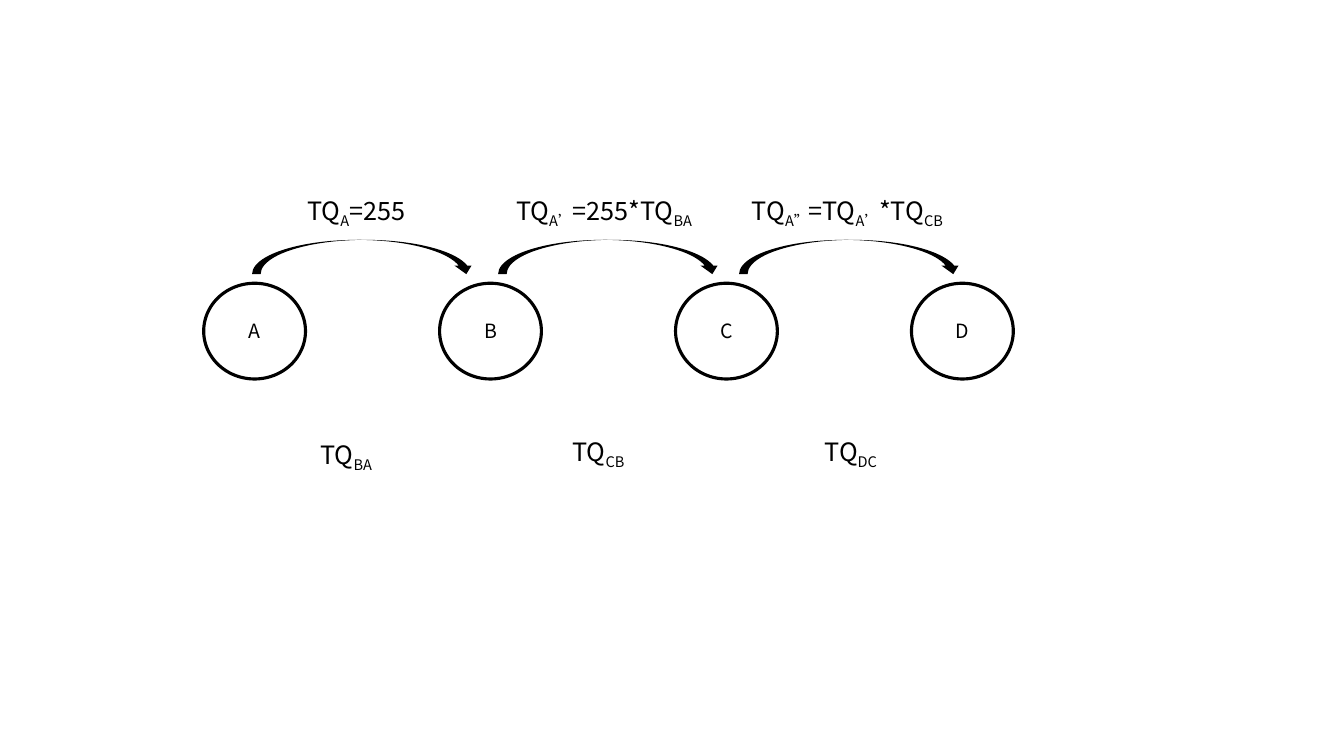
from pptx import Presentation
from pptx.dml.color import RGBColor
from pptx.enum.shapes import MSO_SHAPE
from pptx.enum.text import MSO_ANCHOR, MSO_AUTO_SIZE, PP_ALIGN
from pptx.oxml.ns import qn
from pptx.util import Inches, Pt

CIRCLE = MSO_SHAPE.OVAL
ARC = MSO_SHAPE.CURVED_DOWN_ARROW
CENTER, LEFT = PP_ALIGN.CENTER, PP_ALIGN.LEFT
MIDDLE, TOP = MSO_ANCHOR.MIDDLE, MSO_ANCHOR.TOP
GROW, FIXED = MSO_AUTO_SIZE.SHAPE_TO_FIT_TEXT, MSO_AUTO_SIZE.NONE

FONT = "Noto Sans CJK SC"
BLACK = "000000"
PITCH = 2.34
NODES = "ABCD"
HOPS = [
    (0.48, 0.93, 1.68, "TQ|A|=255"),
    (0.58, 0.66, 2.34, "TQ|A’|=255*TQ|BA"),
    (0.63, 0.66, 2.34, "TQ|A”|=TQ|A’|*TQ|CB"),
]
LINKS = [
    (0, 0.03, 0.78, "TQ|BA"),
    (2.5, 0, 0.99, "TQ|CB"),
    (5, 0, 1.11, "TQ|DC"),
]


def color(value):
    return RGBColor.from_string(value)


def write(frame, text, size=18, align=LEFT, anchor=TOP, autosize=FIXED):
    frame.word_wrap = True
    frame.auto_size = autosize
    frame.vertical_anchor = anchor
    paragraph = frame.paragraphs[0]
    paragraph.alignment = align
    for index, part in enumerate(text.split("|")):
        run = paragraph.add_run()
        run.text = part
        run.font.size = Pt(size)
        run.font.name = FONT
        run.font.color.rgb = color(BLACK)
        properties = run.font._element
        east_asian = properties.makeelement(qn("a:ea"), {"typeface": FONT})
        properties.find(qn("a:latin")).addnext(east_asian)
        if index % 2:
            properties.set("baseline", "-25000")


def add_label(slide, box, text):
    label = slide.shapes.add_textbox(*map(Inches, box))
    write(label.text_frame, text, autosize=GROW)


def draw_nodes(slide, left, top, width, height):
    for column, letter in enumerate(NODES):
        box = (left + column * PITCH, top, width, height)
        node = slide.shapes.add_shape(CIRCLE, *map(Inches, box))
        node.shadow.inherit = False
        node.fill.background()
        node.line.color.rgb = color(BLACK)
        node.line.width = Pt(2.25)
        write(node.text_frame, letter, size=14, align=CENTER, anchor=MIDDLE)


def draw_hops(slide, left, top, width, height):
    for column, (arc_shift, label_shift, label_width, formula) in enumerate(HOPS):
        start = left + column * PITCH
        box = (start + arc_shift, top + 0.49, width, height)
        arc = slide.shapes.add_shape(ARC, *map(Inches, box))
        arc.shadow.inherit = False
        arc.fill.solid()
        arc.fill.fore_color.rgb = color(BLACK)
        arc.line.fill.background()
        add_label(slide, (start + label_shift, top, label_width, 0.4), formula)


def draw_links(slide, left, top, height):
    for across, down, width, formula in LINKS:
        add_label(slide, (left + across, top + down, width, height), formula)


def main():
    deck = Presentation()
    deck.slide_width, deck.slide_height = Inches(13.33), Inches(7.5)
    slide = deck.slides.add_slide(deck.slide_layouts[6])
    draw_nodes(slide, 2.02, 2.81, 1.01, 0.95)
    draw_hops(slide, 2.02, 1.89, 2.21, 0.34)
    draw_links(slide, 3.08, 4.28, 0.4)
    deck.save("out.pptx")


if __name__ == "__main__":
    main()
